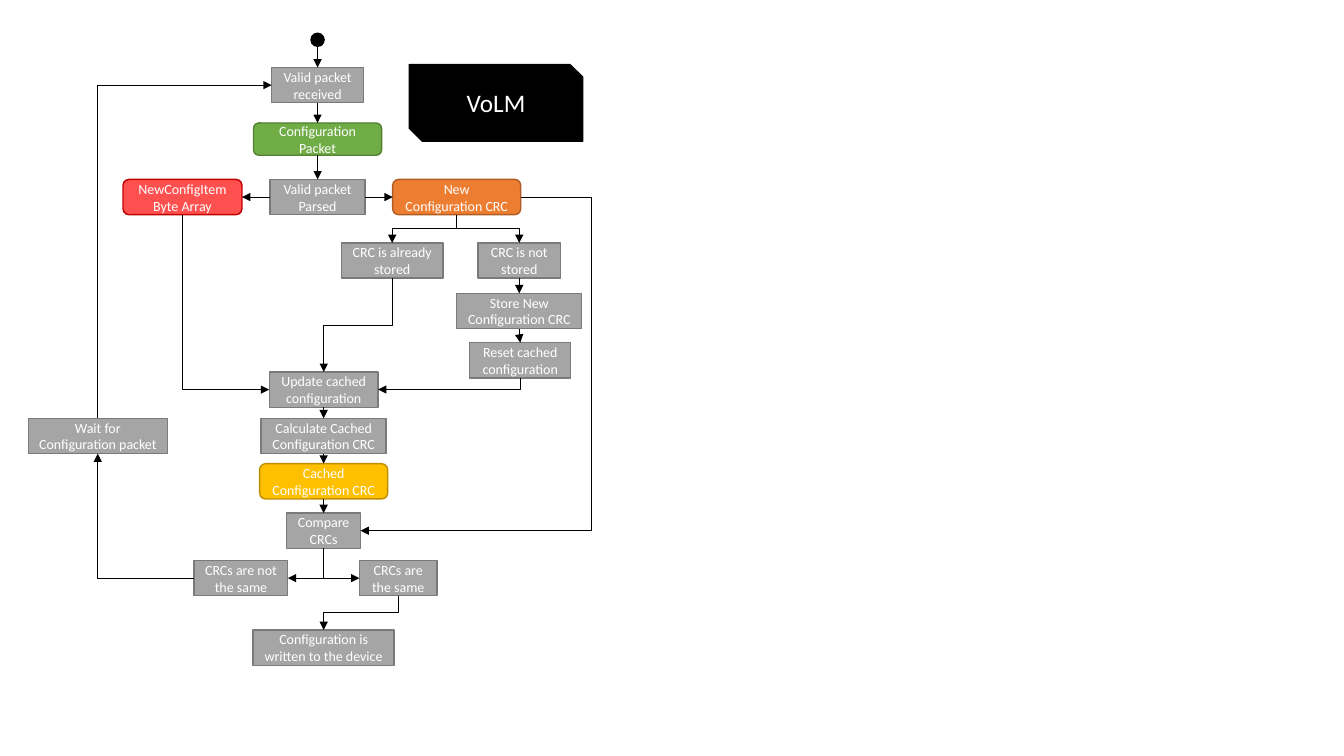
import pptx
import pptx.dml.color
import pptx.enum.shapes
import pptx.enum.text
import pptx.oxml
import pptx.oxml.ns
import pptx.util

Inches = pptx.util.Inches
PRESET = pptx.enum.shapes.MSO_SHAPE

STYLES = {
    "step": (PRESET.RECTANGLE, "A5A5A5", "7A7A7A", 10),
    "packet": (PRESET.FLOWCHART_ALTERNATE_PROCESS, "70AD47", "538035", 10),
    "items": (PRESET.FLOWCHART_ALTERNATE_PROCESS, "FF5050", "C00000", 10),
    "new crc": (PRESET.FLOWCHART_ALTERNATE_PROCESS, "ED7D31", "AF5C24", 10),
    "cached crc": (PRESET.FLOWCHART_ALTERNATE_PROCESS, "FFC000", "BD8E00", 10),
    "start": (PRESET.FLOWCHART_CONNECTOR, "000000", "000000", 10),
    "title": (PRESET.SNIP_2_DIAG_RECTANGLE, "000000", "000000", 18),
}

INTAKE, CACHE, STORE = 3.15, 3.21, 5.15
BOX_HEIGHT = 0.35

# name: style, text, centre x, top, width, height
NODES = {
    "start": ("start", "", INTAKE, 0.33, 0.13, 0.13),
    "received": ("step", "Valid packet received", INTAKE, 0.67, 0.91, BOX_HEIGHT),
    "packet": ("packet", "Configuration Packet", INTAKE, 1.22, 1.27, 0.32),
    "parsed": ("step", "Valid packet Parsed", INTAKE, 1.78, 0.94, BOX_HEIGHT),
    "items": ("items", "NewConfigItem\nByte Array", 1.81, 1.78, 1.18, BOX_HEIGHT),
    "new crc": ("new crc", "New Configuration CRC", 4.53, 1.78, 1.27, BOX_HEIGHT),
    "stored": ("step", "CRC is already stored", 3.89, 2.41, 1.01, BOX_HEIGHT),
    "not stored": ("step", "CRC is not stored", STORE, 2.41, 0.82, BOX_HEIGHT),
    "store": ("step", "Store New Configuration CRC", STORE, 2.91, 1.24, BOX_HEIGHT),
    "reset": ("step", "Reset cached configuration", STORE + 0.01, 3.4, 1, BOX_HEIGHT),
    "update": ("step", "Update cached configuration", CACHE, 3.69, 1.08, BOX_HEIGHT),
    "calculate": ("step", "Calculate Cached Configuration CRC", CACHE, 4.15, 1.24, BOX_HEIGHT),
    "cached crc": ("cached crc", "Cached Configuration CRC", CACHE, 4.6, 1.27, BOX_HEIGHT),
    "compare": ("step", "Compare CRCs", CACHE, 5.09, 0.73, BOX_HEIGHT),
    "different": ("step", "CRCs are not the same", 2.39, 5.56, 0.93, BOX_HEIGHT),
    "same": ("step", "CRCs are the same", 3.95, 5.56, 0.77, BOX_HEIGHT),
    "written": ("step", "Configuration is written to the device", CACHE, 6.25, 1.4, BOX_HEIGHT),
    "wait": ("step", "Wait for Configuration packet", 0.97, 4.15, 1.38, BOX_HEIGHT),
    "title": ("title", "VoLM", 4.92, 0.64, 1.72, 0.76),
}

TOP, LEFT, BOTTOM, RIGHT = range(4)
ROUND_BOTTOM = 4
BYPASS = 5.87

FLOWS = [
    ("start", BOTTOM, "received", TOP),
    ("received", BOTTOM, "packet", TOP),
    ("packet", BOTTOM, "parsed", TOP),
    ("parsed", LEFT, "items", RIGHT),
    ("parsed", RIGHT, "new crc", LEFT),
    ("new crc", BOTTOM, "stored", TOP),
    ("new crc", BOTTOM, "not stored", TOP),
    ("not stored", BOTTOM, "store", TOP),
    ("store", BOTTOM, "reset", TOP),
    ("stored", BOTTOM, "update", TOP),
    ("reset", BOTTOM, "update", RIGHT),
    ("items", BOTTOM, "update", LEFT),
    ("update", BOTTOM, "calculate", TOP),
    ("calculate", BOTTOM, "cached crc", TOP),
    ("cached crc", BOTTOM, "compare", TOP),
    ("new crc", RIGHT, "compare", RIGHT),
    ("compare", BOTTOM, "different", RIGHT),
    ("compare", BOTTOM, "same", LEFT),
    ("same", BOTTOM, "written", TOP),
    ("different", LEFT, "wait", BOTTOM),
    ("wait", TOP, "received", LEFT),
]


def color(value):
    return pptx.dml.color.RGBColor.from_string(value)


def add_node(slide, style, text, center, top, width, height):
    preset, fill, outline, size = STYLES[style]
    shape = slide.shapes.add_shape(
        preset, Inches(center - width / 2), Inches(top), Inches(width), Inches(height))
    shape.shadow.inherit = False
    shape.fill.solid()
    shape.fill.fore_color.rgb = color(fill)
    shape.line.color.rgb = color(outline)
    shape.line.width = pptx.util.Pt(1)
    if text:
        shape.text_frame.text = text
        shape.text_frame.vertical_anchor = pptx.enum.text.MSO_ANCHOR.MIDDLE
        font_format = {"name": "Calibri", "size": pptx.util.Pt(size)}
        for paragraph in shape.text_frame.paragraphs:
            paragraph.alignment = pptx.enum.text.PP_ALIGN.CENTER
            paragraph.font.color.rgb = color("FFFFFF")
            for name, value in font_format.items():
                setattr(paragraph.font, name, value)
    return shape


def add_child(parent, tag, **attributes):
    child = pptx.oxml.parse_xml(f"<{tag} {pptx.oxml.ns.nsdecls('a')}/>")
    for name, value in attributes.items():
        child.set(name, value)
    parent.append(child)


def turn_upright(connector, delta_x, delta_y):
    center_x = (connector.begin_x + connector.end_x) // 2
    center_y = (connector.begin_y + connector.end_y) // 2
    width, height = abs(delta_y), abs(delta_x)
    mirrored = delta_x > 0 and delta_y > 0
    placement = {"left": center_x - width // 2, "top": center_y - height // 2,
                 "width": width, "height": height}
    for name, value in placement.items():
        setattr(connector, name, value)
    frame = connector._element.spPr.find(pptx.oxml.ns.qn("a:xfrm"))
    frame.set("rot", str((270 if mirrored else 90) * 60000))
    frame.set("flipH", str(int(mirrored or delta_y < 0)))
    frame.set("flipV", str(int(delta_x > 0 and not mirrored)))


def add_flow(slide, source, source_side, target, target_side):
    connector = slide.shapes.add_connector(
        pptx.enum.shapes.MSO_CONNECTOR.ELBOW, 0, 0, 0, 0)
    connector.begin_connect(source, source_side)
    connector.end_connect(target, target_side)
    if source.auto_shape_type == PRESET.FLOWCHART_CONNECTOR:
        connector._element.nvCxnSpPr.cNvCxnSpPr.stCxn.set("idx", str(ROUND_BOTTOM))
    delta_x = connector.end_x - connector.begin_x
    delta_y = connector.end_y - connector.begin_y
    properties = connector._element.spPr
    geometry = properties.find(pptx.oxml.ns.qn("a:prstGeom"))
    if source_side % 2 != target_side % 2:
        geometry.set("prst", "bentConnector2")
    elif source_side == target_side:
        bend = round((Inches(BYPASS) - connector.begin_x) / delta_x * 100000)
        guides = geometry.find(pptx.oxml.ns.qn("a:avLst"))
        add_child(guides, "a:gd", name="adj1", fmla=f"val {bend}")
    if source_side in (TOP, BOTTOM):
        turn_upright(connector, delta_x, delta_y)
    connector.line.color.rgb = color("000000")
    connector.line.width = pptx.util.Pt(0.5)
    add_child(connector.line._get_or_add_ln(), "a:tailEnd", type="triangle")
    add_child(properties, "a:effectLst")


presentation = pptx.Presentation()
presentation.slide_width = Inches(13.33)
presentation.slide_height = Inches(7.5)
slide = presentation.slides.add_slide(presentation.slide_layouts[6])
nodes = {name: add_node(slide, *node) for name, node in NODES.items()}
for source, source_side, target, target_side in FLOWS:
    add_flow(slide, nodes[source], source_side, nodes[target], target_side)
presentation.save("out.pptx")
